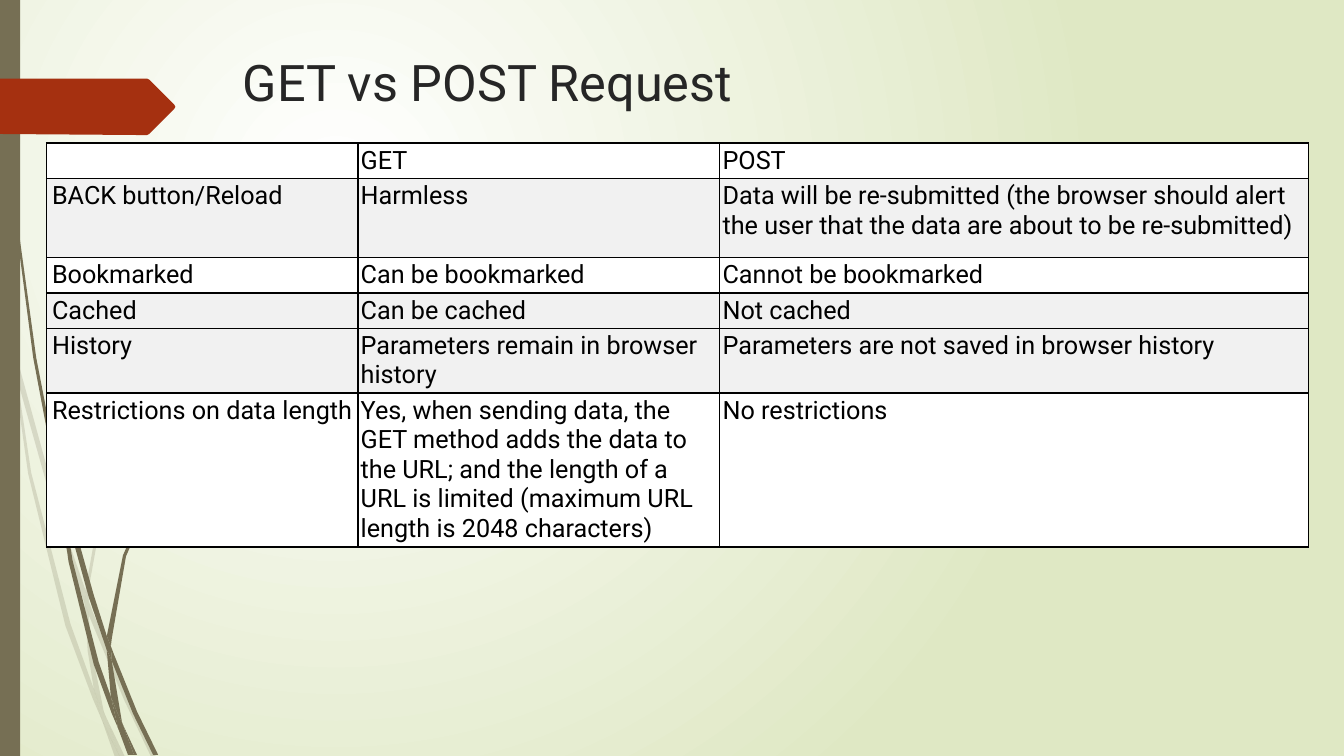
from pptx import Presentation
from pptx.dml.color import RGBColor
from pptx.enum.shapes import MSO_SHAPE
from pptx.enum.text import MSO_ANCHOR, MSO_AUTO_SIZE, PP_ALIGN
from pptx.oxml import parse_xml
from pptx.oxml.ns import nsdecls, qn
from pptx.util import Pt

FONT = "Roboto"
OLIVE = "766F54"
GRID_UNIT = Pt(0.72)

PALE_BLADES = [
    "11,350 9,322 0,282 0,299 10,344",
    "58,522 84,599 85,586 62,520 14,345 17,376",
    "92,607 88,596 88,610 123,694 150,751 155,751 127,692",
    "119,751 124,751 105,711",
    "93,683 70,619 31,469 17,376 11,350 28,470 65,621 92,693 101,714 99,707",
    "84,599 87,646 93,683 96,692 105,711 103,706 91,646 88,610 88,608",
    "88,584 110,462 160,349 229,245 268,198 290,175 312,154 312,153 289,175 "
    "268,197 228,244 158,348 107,461 85,584 85,586 88,596",
    "101,714 114,751 119,751",
    "88,608 88,610 88,596 85,586 84,599",
    "96,692 93,683 99,707 101,714 119,751 105,711",
]
DARK_BLADES = [
    "7,110 17,233 33,355 56,477 57,481 55,457 55,453 36,355 19,232 8,109 "
    "5,48 4,0 3,0 4,48",
    "88,592 106,645 106,633 106,631 93,590 60,472 64,505",
    "113,649 110,641 111,656 132,708 152,749 157,749 136,706",
    "110,691 98,657 72,556 64,505 57,477 68,557 93,659 111,708 117,722 116,717",
    "60,472 58,453 54,349 58,245 63,193 70,141 62,193 56,245 52,349 55,449",
    "133,749 136,749 122,719",
    "57,477 64,505 60,472 55,449 55,453",
    "111,633 125,552 158,476 205,406 231,374 245,359 261,344 260,344 245,358 "
    "231,373 204,405 156,474 122,551 106,631 110,641",
    "117,722 127,749 131,749",
    "106,645 110,691 116,706 122,719 121,716 111,656 109,651",
    "106,645 109,651 111,656 110,641 106,631 106,633",
    "116,706 110,691 116,717 117,722 130,749 133,749 122,719",
]
ARROW = "173,108 148,133 146,134 136,134 0,133 0,78 146,78 148,79 173,104 174,106"

COLUMN_WIDTHS = [222.5, 258.5, 420.5]
ROWS = [
    (25.2, "FFFFFF", ["", "GET", "POST"]),
    (56.7, "F1F1F1", [
        "BACK button/Reload",
        "Harmless",
        "Data will be re-submitted (the browser should alert the user that "
        "the data are about to be re-submitted)"]),
    (25.2, "FFFFFF", ["Bookmarked", "Can be bookmarked", "Cannot be bookmarked"]),
    (25.2, "F1F1F1", ["Cached", "Can be cached", "Not cached"]),
    (46, "F1F1F1", [
        "History",
        "Parameters remain in browser history",
        "Parameters are not saved in browser history"]),
    (110, "FFFFFF", [
        "Restrictions on data length",
        "Yes, when sending data, the GET method adds the data to the URL; and "
        "the length of a URL is limited (maximum URL length is 2048 characters)",
        "No restrictions"]),
]


def rgb(color):
    return RGBColor.from_string(color)


def paint(sp, color, alpha=None):
    sp.shadow.inherit = False
    sp.fill.solid()
    sp.fill.fore_color.rgb = rgb(color)
    sp.line.fill.background()
    if alpha is not None:
        tint = sp.fill._xPr.find(f".//{qn('a:srgbClr')}")
        tint.append(parse_xml(f'<a:alpha {nsdecls("a")} val="{alpha * 1000}"/>'))


def add_outline(s, outline, color, alpha=None):
    points = [tuple(map(int, pair.split(","))) for pair in outline.split()]
    builder = s.shapes.build_freeform(*points[0], scale=GRID_UNIT)
    builder.add_line_segments(points[1:], close=True)
    paint(builder.convert_to_shape(), color, alpha)


def set_background(s):
    fill = s.background.fill
    fill.gradient()
    for stop, color in zip(fill.gradient_stops, ["FFFFFF", "DFE8C4"]):
        stop.color.rgb = rgb(color)
    for position, stop in enumerate(fill.gradient_stops):
        stop.position = position
    gradient = s.element.find(f".//{qn('a:gradFill')}")
    gradient.replace(gradient.find(qn("a:lin")), parse_xml(
        f'<a:path {nsdecls("a")} path="circle">'
        '<a:fillToRect l="50000" t="50000" r="100000" b="100000"/></a:path>'))


def style_text(p, size, color):
    p.alignment = PP_ALIGN.LEFT
    p.font.name = FONT
    p.font.size = Pt(size)
    p.font.color.rgb = rgb(color)


def set_title(s, text):
    title = s.shapes.title
    title.left, title.top, title.width, title.height = map(Pt, (166.3, 31, 702, 54))
    tf = title.text_frame
    tf.text = text
    tf.auto_size = MSO_AUTO_SIZE.NONE
    tf.vertical_anchor = MSO_ANCHOR.MIDDLE
    style_text(tf.paragraphs[0], 36, "262626")


def add_borders(cell):
    properties = cell._tc.get_or_add_tcPr()
    for side in "LRTB":
        properties.append(parse_xml(
            f'<a:ln{side} {nsdecls("a")} w="{Pt(1)}"><a:solidFill>'
            f'<a:srgbClr val="000000"/></a:solidFill></a:ln{side}>'))


def fill_cell(cell, text, color, left_margin):
    cell.margin_left = Pt(left_margin)
    cell.margin_right = cell.margin_top = cell.margin_bottom = Pt(2)
    cell.text = text
    style_text(cell.text_frame.paragraphs[0], 18, "000000")
    add_borders(cell)
    cell.fill.solid()
    cell.fill.fore_color.rgb = rgb(color)


def add_comparison(s):
    height = sum(row[0] for row in ROWS)
    frame = s.shapes.add_table(
        len(ROWS), len(COLUMN_WIDTHS),
        Pt(33.2), Pt(102.2), Pt(sum(COLUMN_WIDTHS)), Pt(height))
    table = frame.table
    table.first_row = table.horz_banding = False
    for column, width in zip(table.columns, COLUMN_WIDTHS):
        column.width = Pt(width)
    for row, (height, color, texts) in zip(table.rows, ROWS):
        row.height = Pt(height)
        for index, (cell, text) in enumerate(zip(row.cells, texts)):
            fill_cell(cell, text, color, 2 if index else 4)


def main():
    prs = Presentation()
    prs.slide_width, prs.slide_height = Pt(960), Pt(540)
    s = prs.slides.add_slide(prs.slide_layouts[5])
    set_background(s)
    for blade in PALE_BLADES:
        add_outline(s, blade, OLIVE, 20)
    for blade in DARK_BLADES:
        add_outline(s, blade, OLIVE)
    bar = s.shapes.add_shape(MSO_SHAPE.RECTANGLE, 0, 0, Pt(14.4), prs.slide_height)
    paint(bar, OLIVE)
    add_outline(s, ARROW, "A53010")
    set_title(s, "GET vs POST Request")
    add_comparison(s)
    prs.save("out.pptx")


if __name__ == "__main__":
    main()
